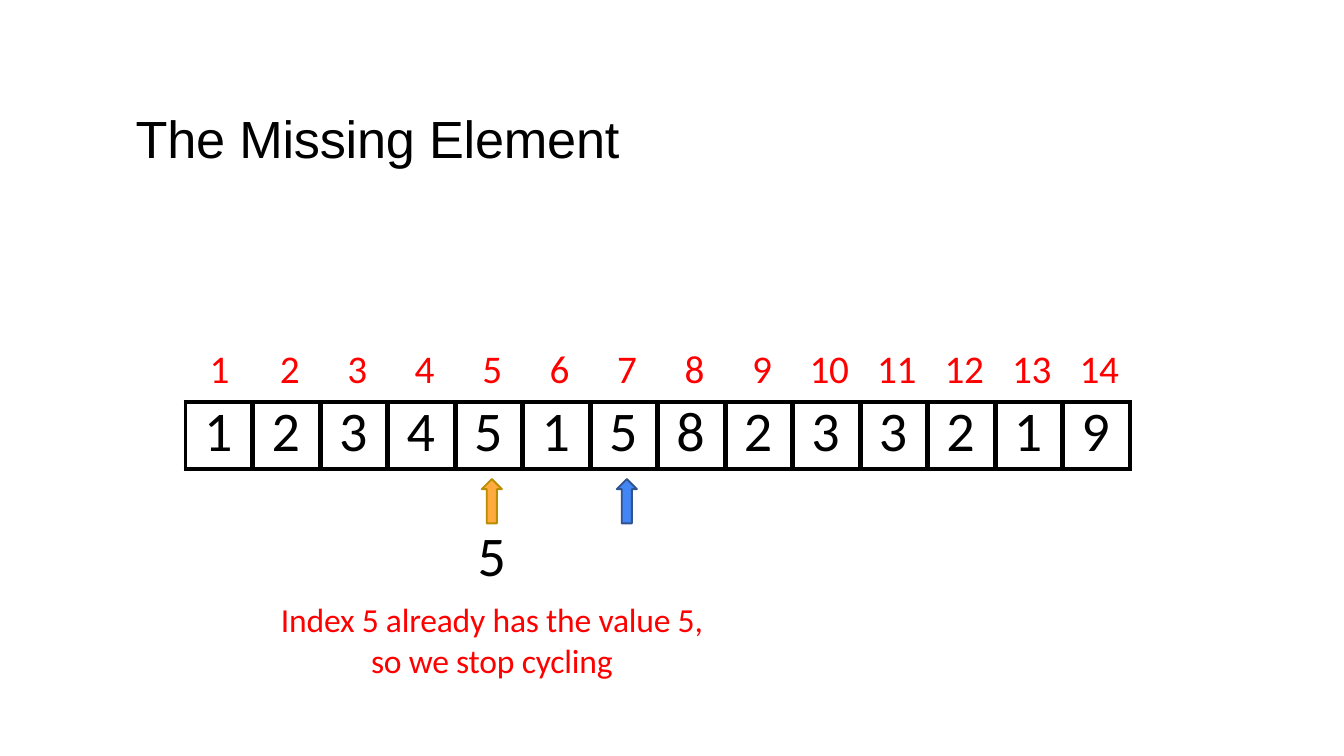
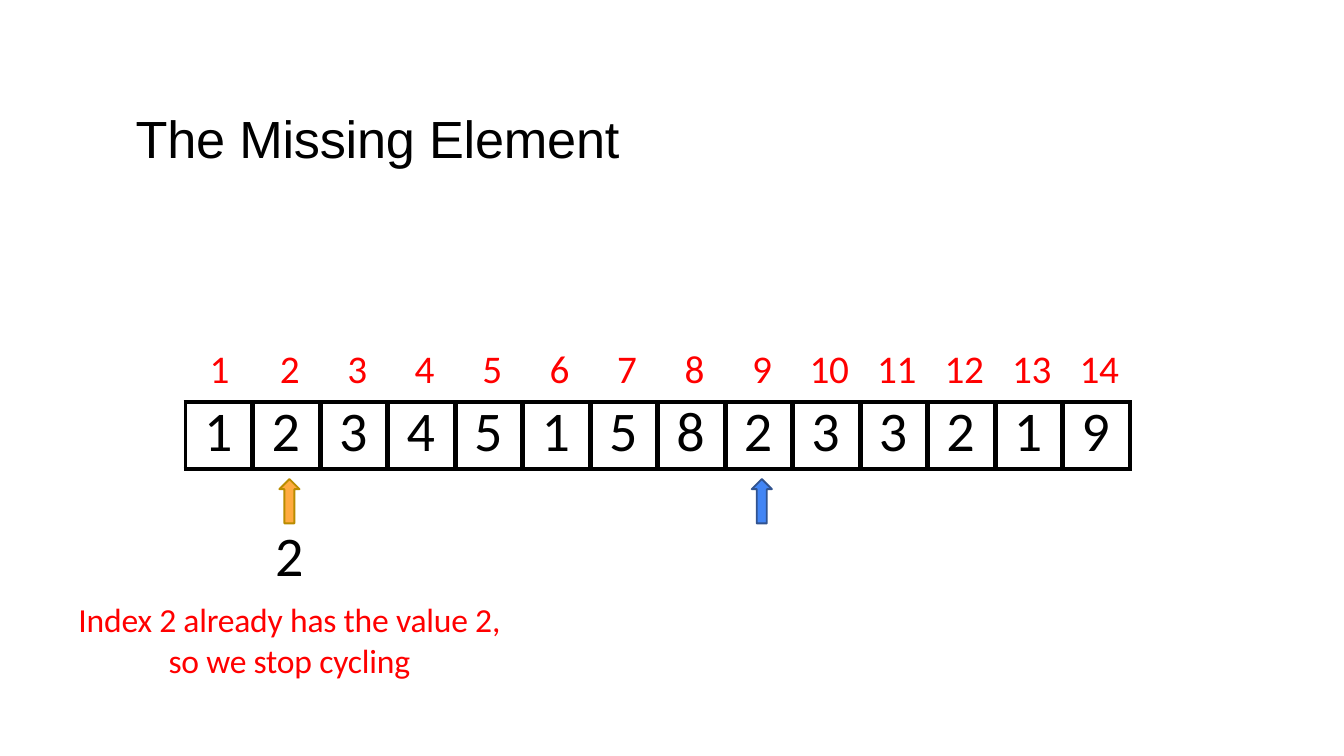
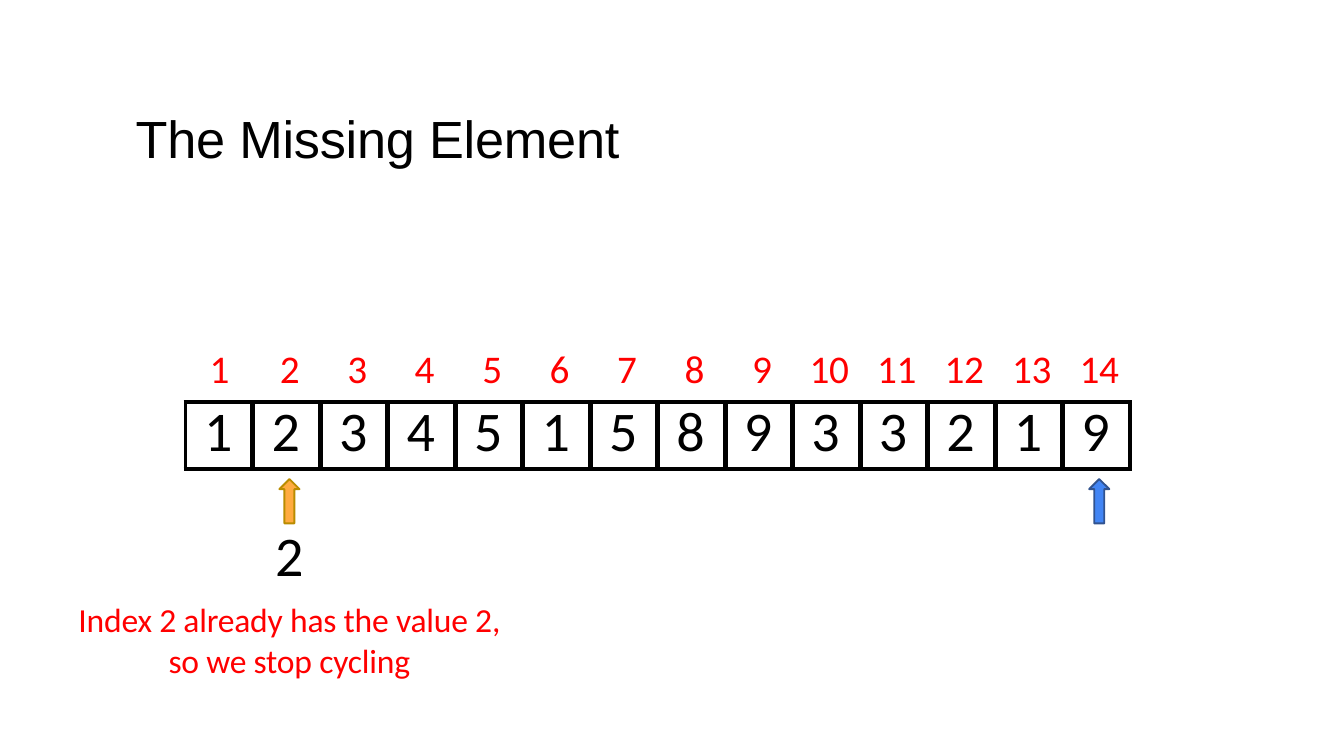
import dataclasses

import pptx
import pptx.dml.color
import pptx.enum.shapes
import pptx.enum.text
import pptx.util
from lxml import etree
from pptx.oxml.ns import qn

COLS, ROWS = 100, 56.25  # slide grid, square units


@dataclasses.dataclass(frozen=True)
class Theme:
    head: str = "Arial"
    body: str = "Calibri"
    ink: str = "000000"
    red: str = "FF0000"
    blue: tuple = ("4285F4", "31538F")
    gold: tuple = ("FFAB40", "BA8C00")
    title: int = 28
    value: int = 30
    index: int = 21
    note: int = 18
    outer: float = 2.25
    inner: float = 3


THEME = Theme()


def unit(n):
    """Length of n grid units."""
    return pptx.util.Inches(n / 10)


def color(code):
    return pptx.dml.color.RGBColor.from_string(code)


def style(para, text, size, ink, face=THEME.body, before=0):
    para.text = text
    para.font.name = face
    para.font.size = pptx.util.Pt(size)
    para.font.color.rgb = color(ink)
    para.space_before = pptx.util.Pt(before)


def tighten(para):
    """Draw the letters a tenth of a point closer."""
    for run in para.runs:
        run._r.get_or_add_rPr().set("spc", "-10")


def label(slide, box, top=0.1):
    """Add a text box with only a top inset and return its frame."""
    frame = slide.shapes.add_textbox(*map(unit, box)).text_frame
    frame.word_wrap = True
    frame.auto_size = pptx.enum.text.MSO_AUTO_SIZE.SHAPE_TO_FIT_TEXT
    frame.margin_left = frame.margin_right = frame.margin_bottom = 0
    frame.margin_top = unit(top)
    return frame


def heading(slide, box):
    para = label(slide, box).paragraphs[0]
    style(para, "The Missing Element", THEME.title, THEME.ink, THEME.head, 1)
    tighten(para)
    para._p.get_or_add_pPr().set("marL", str(unit(0.1)))


def border(cell, sides):
    """Draw the cell's sides, given as tag and width pairs."""
    props = cell._tc.get_or_add_tcPr()
    for tag, width in sides:
        line = etree.SubElement(props, qn("a:" + tag), w=str(pptx.util.Pt(width)))
        fill = etree.SubElement(line, qn("a:solidFill"))
        etree.SubElement(fill, qn("a:srgbClr"), val=THEME.ink)


def cells(slide, box, values):
    count = len(values)
    table = slide.shapes.add_table(1, count, *map(unit, box)).table
    table.first_row = table.horz_banding = False
    for i, value in enumerate(values):
        table.columns[i].width = unit(box[2] / count)
        cell = table.cell(0, i)
        cell.margin_left = unit(1.4)
        cell.margin_right = cell.margin_top = cell.margin_bottom = 0
        para = cell.text_frame.paragraphs[0]
        style(para, str(value), THEME.value, THEME.ink)
        para.line_spacing = pptx.util.Pt(34.9)
        left = THEME.inner if i else THEME.outer
        right = THEME.inner if i < count - 1 else THEME.outer
        border(cell, [("lnL", left), ("lnR", right),
                      ("lnT", THEME.outer), ("lnB", THEME.outer)])
        cell.fill.background()


def indices(slide, box, count, step):
    para = label(slide, box).paragraphs[0]
    names = [str(n) for n in range(1, count + 1)]
    style(para, "\t".join(names), THEME.index, THEME.red, before=1)
    tighten(para)
    props = para._p.get_or_add_pPr()
    props.set("marL", str(unit(0.1)))
    tabs = etree.Element(qn("a:tabLst"))
    props.insert_element_before(tabs, "a:defRPr", "a:extLst")
    for i, name in enumerate(names[1:], 1):
        shift = 0.2 if len(name) == 1 else -0.55  # wider numbers start further left
        etree.SubElement(tabs, qn("a:tab"), pos=str(unit(i * step + shift)), algn="l")


def arrow(slide, mid, top, paint):
    wide, high = 1.5, 3.3
    box = mid - wide / 2, top, wide, high
    kind = pptx.enum.shapes.MSO_SHAPE.UP_ARROW
    shape = slide.shapes.add_shape(kind, *map(unit, box))
    shape.shadow.inherit = False
    shape.fill.solid()
    shape.fill.fore_color.rgb = color(paint[0])
    shape.line.color.rgb = color(paint[1])
    shape.line.width = pptx.util.Pt(1)


def note(slide, mid, top, held):
    wide, high = 32.1, 13.5
    frame = label(slide, (mid - wide / 2, top, wide, high), 1.5)
    text = f"Index {held} already has the value {held}, so we stop cycling"
    style(frame.paragraphs[0], str(held), THEME.value, THEME.ink, before=11.1)
    para = frame.add_paragraph()
    style(para, text, THEME.note, THEME.red, before=6)
    tighten(para)
    for para in frame.paragraphs:
        para.alignment = pptx.enum.text.PP_ALIGN.CENTER


def board(slide, box, values, start, held):
    """Array with its indices, the start arrow and the held value's arrow."""
    left, top, wide, high = box
    step = wide / len(values)

    def mid(index):
        return left + (index - 0.5) * step + 0.2

    cells(slide, box, values)
    indices(slide, (left + 1.7, top - 4.4, wide - 2.3, 3.8), len(values), step)
    arrow(slide, mid(start), top + high + 0.75, THEME.blue)
    arrow(slide, mid(held), top + high + 0.75, THEME.gold)
    note(slide, mid(held), top + high + 2.35, held)


def main():
    deck = pptx.Presentation()
    deck.slide_width, deck.slide_height = unit(COLS), unit(ROWS)
    first = [1, 2, 3, 4, 5, 1, 5, 8, 2, 3, 3, 2, 1, 9]
    last = first[:8] + [9] + first[9:]
    for values, start, held in [(first, 7, 5), (first, 9, 2), (last, 14, 2)]:
        slide = deck.slides.add_slide(deck.slide_layouts[6])
        heading(slide, (10, 7.8, 36.5, 4.9))
        board(slide, (13.8, 29.9, 70.3, 5), values, start, held)
    deck.save("out.pptx")


if __name__ == "__main__":
    main()
